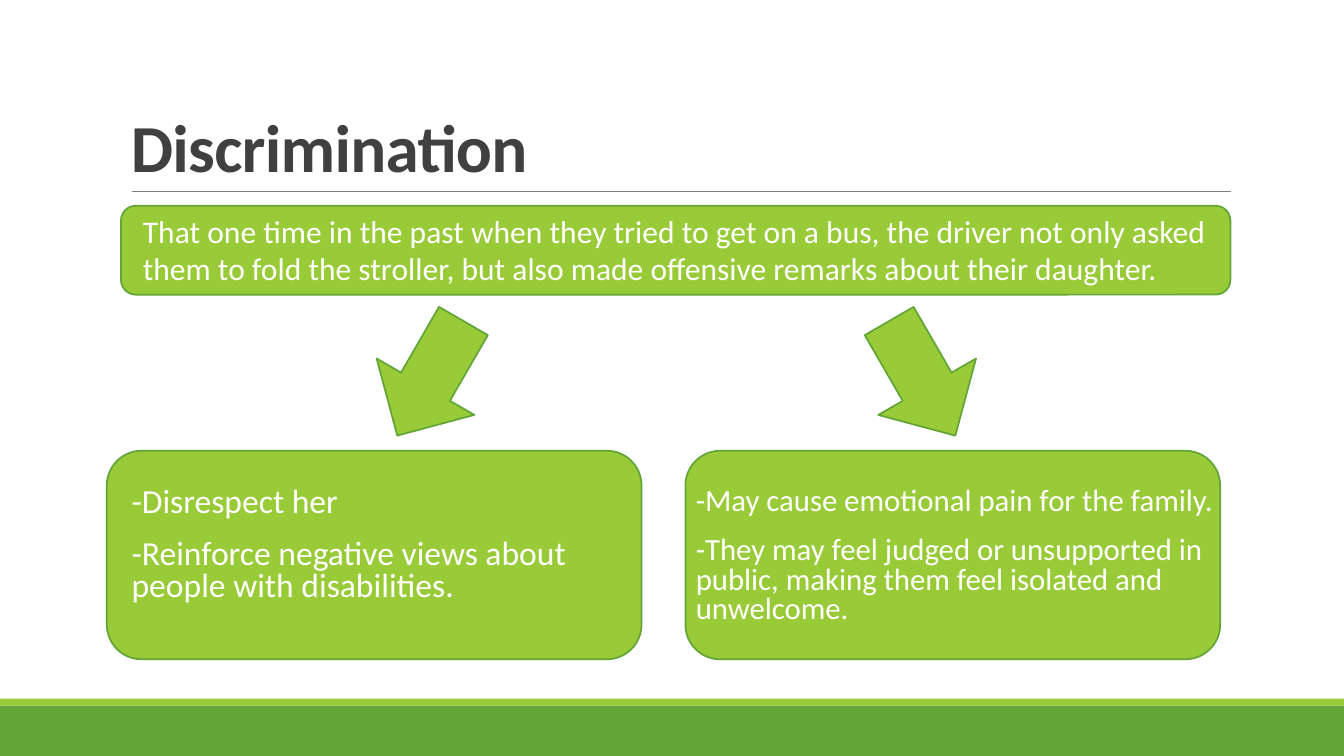
from pptx import Presentation
from pptx.dml.color import RGBColor
from pptx.enum.shapes import MSO_CONNECTOR, MSO_SHAPE as SHAPE
from pptx.enum.text import MSO_ANCHOR as ANCHOR
from pptx.util import Pt
from lxml import etree

COLORS = {"green": "63A537", "lime": "99CB38", "rule": "808080",
          "title": "404040", "white": "FFFFFF"}


def add_shape(kind, box, fill, line=None, rotation=0):
    sp = s.shapes.add_shape(kind, *map(Pt, box))
    sp.shadow.inherit = False
    sp.rotation = rotation
    sp.fill.solid()
    sp.fill.fore_color.rgb = RGBColor.from_string(COLORS[fill])
    if line:
        sp.line.color.rgb = RGBColor.from_string(COLORS[line])
        sp.line.width = Pt(1.25)
    else:
        sp.line.fill.background()


def add_text(box, lines, size, color="white", spacing=1.0, anchor=ANCHOR.TOP, insets=(7.2, 3.6)):
    tf = s.shapes.add_textbox(*map(Pt, box)).text_frame
    tf.word_wrap = True
    tf.vertical_anchor = anchor
    tf.margin_left = tf.margin_right = Pt(insets[0])
    tf.margin_top = tf.margin_bottom = Pt(insets[1])
    for i, line in enumerate(lines):
        p = tf.paragraphs[0] if i == 0 else tf.add_paragraph()
        p.text = line
        p.line_spacing = spacing
        p.space_before = Pt(14 if i else 0)
        p.font.name = "Calibri"
        p.font.size = Pt(size)
        p.font.color.rgb = RGBColor.from_string(COLORS[color])
    return tf


prs = Presentation()
prs.slide_width, prs.slide_height = Pt(960), Pt(540)
s = prs.slides.add_slide(prs.slide_layouts[6])

add_shape(SHAPE.RECTANGLE, (0, 504, 960, 36), "green")
add_shape(SHAPE.RECTANGLE, (0, 499, 960, 5), "lime")

rule = s.shapes.add_connector(MSO_CONNECTOR.STRAIGHT, Pt(94.3), Pt(136.8), Pt(879), Pt(136.8))
rule.line.color.rgb = RGBColor.from_string(COLORS["rule"])
rule.line.width = Pt(0.5)
etree.SubElement(rule._element.spPr, "{http://schemas.openxmlformats.org/drawingml/2006/main}effectLst")

title = add_text((86.4, 22.3, 792, 114.5), ["Discrimination"], 48, "title", 0.85, ANCHOR.BOTTOM)
title.paragraphs[0].font.bold = True
title.paragraphs[0].runs[0].font._element.set("spc", "-50")

add_shape(SHAPE.ROUNDED_RECTANGLE, (86.4, 147, 792.5, 63.5), "lime", "green")
add_text((95, 147.6, 782.6, 62), [
    "That one time in the past when they tried to get on a bus, the driver not only asked "
    "them to fold the stroller, but also made offensive remarks about their daughter."], 22.5)

effects = [
    (76.3, 94, 364.8, 24, 267.1, 30,
     ["-Disrespect her", "-Reinforce negative views about people with disabilities."]),
    (489.6, 497, 376, 22, 618.5, 330,
     ["-May cause emotional pain for the family.",
      "-They may feel judged or unsupported in public, making them feel isolated and unwelcome."]),
]
for card_x, text_x, text_width, size, arrow_x, rotation, lines in effects:
    add_shape(SHAPE.ROUNDED_RECTANGLE, (card_x, 322, 382, 149), "lime", "green")
    add_shape(SHAPE.DOWN_ARROW, (arrow_x, 223, 80.6, 94.5), "lime", "green", rotation)
    add_text((text_x, 348.5, text_width, 113.5), lines, size, spacing=0.8, insets=(0, 0))

prs.save("out.pptx")
